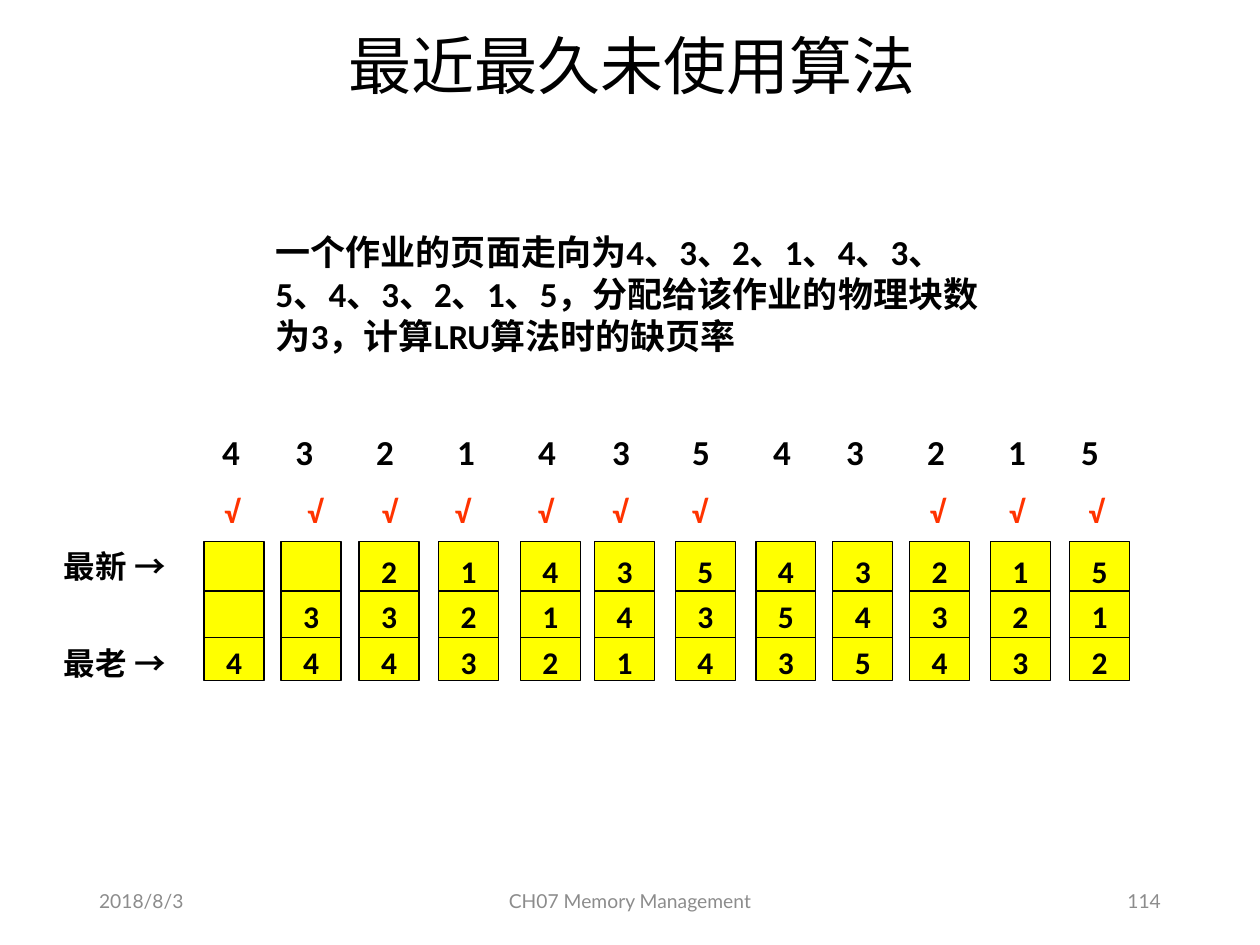
import dataclasses

import lxml.etree
import pptx
import pptx.dml.color
import pptx.enum.shapes
import pptx.enum.text
import pptx.oxml.ns
import pptx.util

Pt = pptx.util.Pt
qn = pptx.oxml.ns.qn
RGB = pptx.dml.color.RGBColor.from_string
ALIGN = pptx.enum.text.PP_ALIGN
ANCHOR = pptx.enum.text.MSO_ANCHOR


@dataclasses.dataclass(frozen=True)
class Theme:
    ink: str = "000000"
    muted: str = "8C8C8C"
    fault: str = "FF3300"
    frame: str = "FFFF00"
    title_size: float = 36
    body_size: float = 20
    cell_size: float = 18
    footer_size: float = 11
    title_font: str = "Noto Sans CJK SC"
    body_font: str = "Calibri"
    footer_font: str = "Lato"
    east_asian_font: str = "Noto Sans CJK SC"
    line_width: float = 0.75


class SlideBuilder:
    def __init__(self, prs, theme):
        self.theme = theme
        self.slide = prs.slides.add_slide(prs.slide_layouts[5])
        self.formats = {
            "title": dict(name=theme.title_font, size=theme.title_size, color=theme.ink, bold=False),
            "body": dict(name=theme.body_font, size=theme.body_size, color=theme.ink, bold=True),
            "cell": dict(name=theme.body_font, size=theme.cell_size, color=theme.ink, bold=True),
            "check": dict(name=theme.body_font, size=theme.cell_size, color=theme.fault, bold=True),
            "footer": dict(name=theme.footer_font, size=theme.footer_size, color=theme.muted, bold=False),
        }

    def fill_paragraph(self, p, text, style, align, spacing=None):
        p.alignment = align
        p.line_spacing = spacing
        r = p.add_run()
        r.text = text
        values = dict(self.formats[style])
        r.font.color.rgb = RGB(values.pop("color"))
        values["size"] = Pt(values["size"])
        for name, value in values.items():
            setattr(r.font, name, value)
        ea = lxml.etree.Element(qn("a:ea"), typeface=self.theme.east_asian_font)
        r._r.get_or_add_rPr().find(qn("a:latin")).addnext(ea)

    def title(self, text, *box):
        sp = self.slide.shapes.title
        sp.left, sp.top, sp.width, sp.height = map(Pt, box)
        sp.text_frame.vertical_anchor = ANCHOR.MIDDLE
        self.fill_paragraph(sp.text_frame.paragraphs[0], text, "title", ALIGN.CENTER, 0.9)

    def text(self, text, style, *box, align=ALIGN.LEFT, anchor=ANCHOR.TOP, tabs=()):
        tf = self.slide.shapes.add_textbox(*map(Pt, box)).text_frame
        tf.word_wrap = True
        tf.vertical_anchor = anchor
        p = tf.paragraphs[0]
        if tabs:
            tab_list = lxml.etree.SubElement(p._p.get_or_add_pPr(), qn("a:tabLst"))
            for tab in tabs:
                lxml.etree.SubElement(tab_list, qn("a:tab"), pos=str(int(Pt(tab))), algn="ctr")
        self.fill_paragraph(p, text, style, align)

    def divider(self, shapes, left, right, y):
        line = shapes.add_connector(
            pptx.enum.shapes.MSO_CONNECTOR.STRAIGHT, Pt(left), Pt(y), Pt(right), Pt(y))
        line.line.color.rgb = RGB(self.theme.ink)
        line.line.width = Pt(self.theme.line_width)
        lxml.etree.SubElement(line._element.spPr, qn("a:effectLst"))

    def frame_stack(self, pages, left, top, width, height, dividers):
        """Draw one column of frames, filled with pages from the bottom up."""
        shapes = self.slide.shapes.add_group_shape().shapes
        sp = shapes.add_shape(
            pptx.enum.shapes.MSO_SHAPE.RECTANGLE, *map(Pt, (left, top, width, height)))
        sp.shadow.inherit = False
        sp.fill.solid()
        sp.fill.fore_color.rgb = RGB(self.theme.frame)
        sp.line.color.rgb = RGB(self.theme.ink)
        sp.line.width = Pt(self.theme.line_width)
        tf = sp.text_frame
        tf.word_wrap = False
        tf.vertical_anchor = ANCHOR.BOTTOM
        tf.margin_top = tf.margin_bottom = 0
        for i, page in enumerate(pages):
            p = tf.add_paragraph() if i else tf.paragraphs[0]
            self.fill_paragraph(p, page, "cell", ALIGN.CENTER, 1.2)
        for y in dividers:
            self.divider(shapes, left, left + width, y)


# Each step: page referenced, its tab stop, frame left, fault mark left, pages newest first
STEPS = [
    ("4", 13.9, 116.6, 121, "4"),
    ("3", 55.7, 160.6, 168.5, "34"),
    ("2", 101.9, 205.2, 211, "234"),
    ("1", 148.2, 250.6, 252.7, "123"),
    ("4", 194.5, 297.4, 300.2, "412"),
    ("3", 236.8, 339.8, 342.7, "341"),
    ("5", 282.5, 385.9, 388.1, "534"),
    ("4", 328.8, 432, None, "453"),
    ("3", 370.5, 475.9, None, "345"),
    ("2", 416.8, 519.8, 524.2, "234"),
    ("1", 463.1, 565.9, 569.5, "123"),
    ("5", 504.8, 611.3, 614.9, "512"),
]
FOOTERS = [
    ("2018/8/3", 49.5, 162, ALIGN.LEFT),
    ("CH07 Memory Management", 238.5, 243, ALIGN.CENTER),
    ("114", 508.5, 162, ALIGN.RIGHT),
]


def main():
    prs = pptx.Presentation()
    prs.slide_width, prs.slide_height = Pt(720), Pt(540)
    s = SlideBuilder(prs, Theme())
    s.title("最近最久未使用算法", 51, 12.3, 620.5, 54.5)
    for text, left, width, align in FOOTERS:
        s.text(text, "footer", left, 500.5, width, 28.75, align=align, anchor=ANCHOR.MIDDLE)
    s.text("一个作业的页面走向为4、3、2、1、4、3、5、4、3、2、1、5，"
           "分配给该作业的物理块数为3，计算LRU算法时的缺页率",
           "body", 150.5, 128, 418.5, 80)
    s.text("".join("\t" + step[0] for step in STEPS), "body", 111, 242.5, 533, 31.5,
           tabs=[step[1] for step in STEPS])
    for _, _, left, mark_left, pages in STEPS:
        s.frame_stack(pages, left, 309.6, 34.2, 79.2, dividers=(337.7, 364.3))
        if mark_left is not None:
            s.text("√", "check", mark_left, 277.5, 28, 29)
    for label, top in (("最新 →", 309), ("最老 →", 364.3)):
        s.text(label, "cell", 23.8, top, 83.5, 29, align=ALIGN.CENTER)
    prs.save("out.pptx")


if __name__ == "__main__":
    main()
